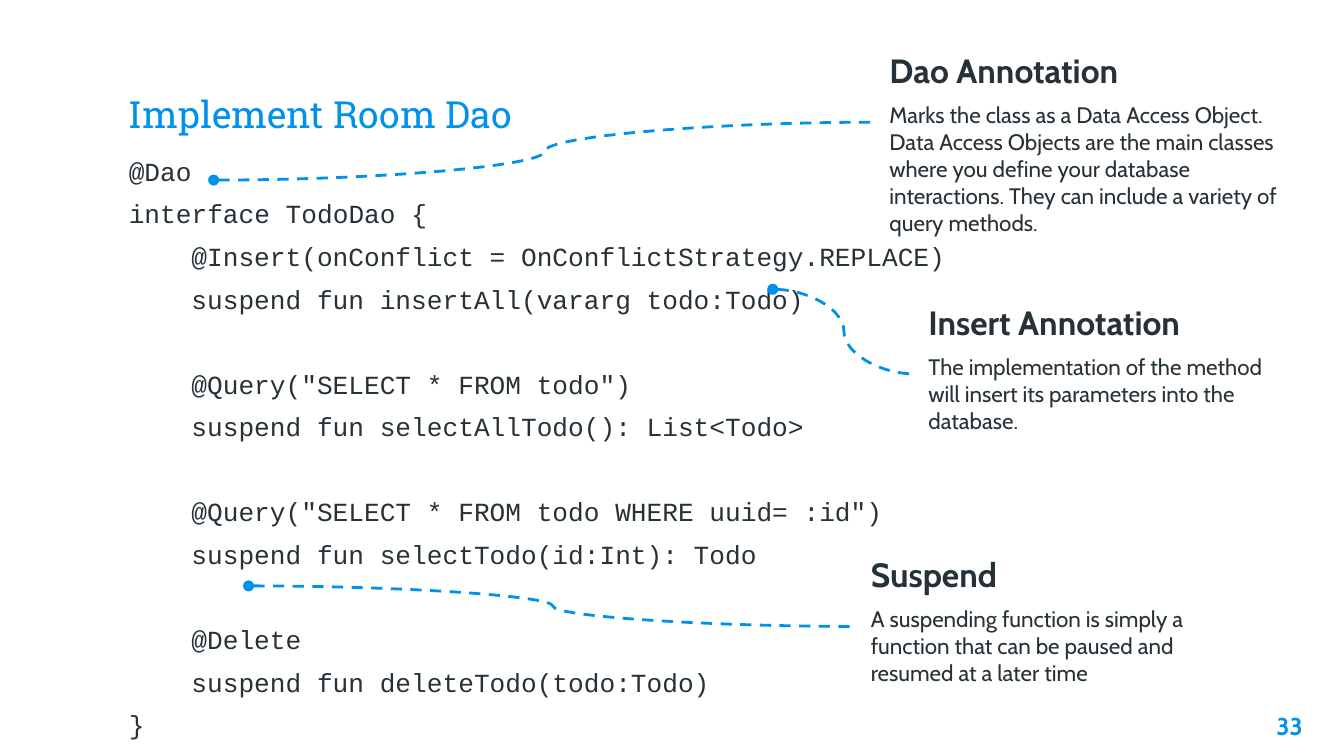
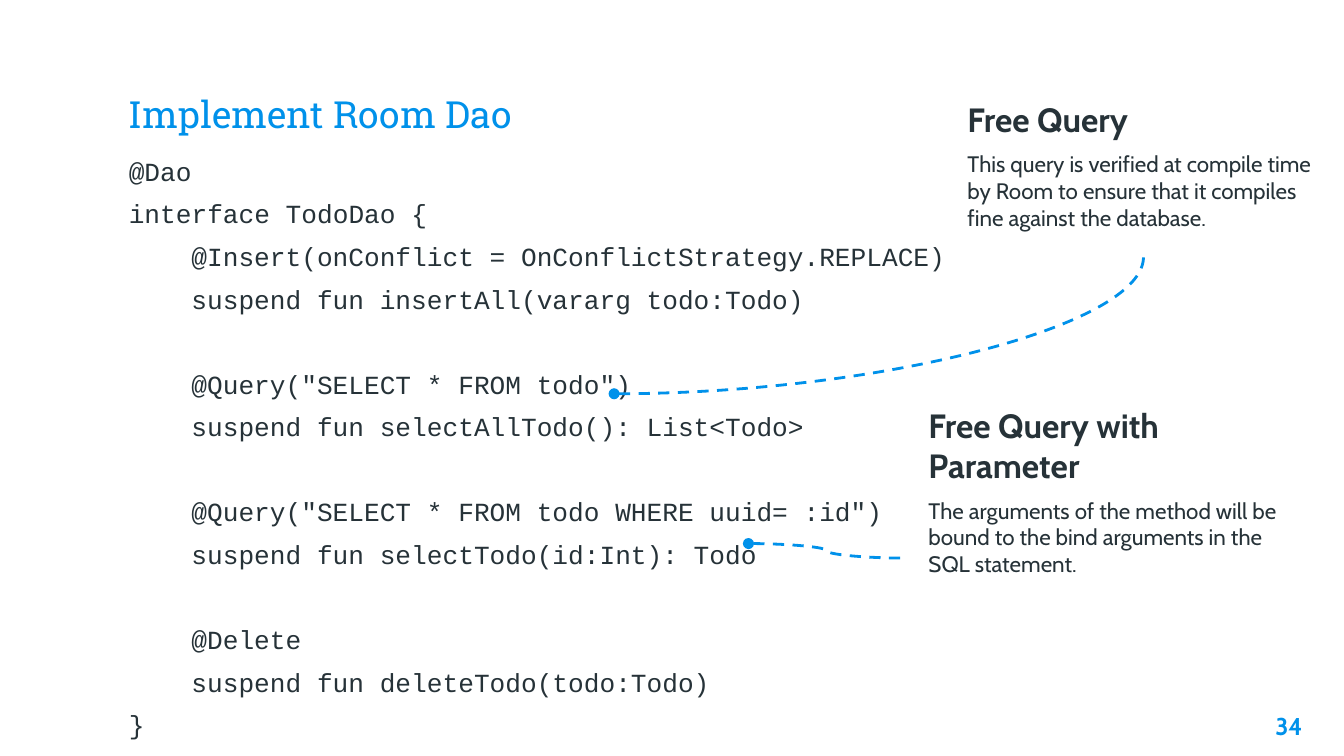
from lxml import etree
from pptx import Presentation
from pptx.dml.color import RGBColor
from pptx.enum import dml, shapes, text
from pptx.oxml.ns import qn
from pptx.util import Pt

BLUE, INK = "0091EA", "263238"
TITLE_FONT, CODE_FONT, NOTE_FONT = "Roboto Slab", "Courier New", "Cabin"
CODE_SIZE, CODE_LEADING, PARA_GAP = 14, 16.8, 6
INDENT = 4 * 0.6 * CODE_SIZE  # four monospaced characters

# Blocks of (indent level, code line); an empty line separates the blocks
DAO_CODE = [
    [(0, "@Dao"),
     (0, "interface TodoDao {"),
     (1, "@Insert(onConflict = OnConflictStrategy.REPLACE)"),
     (1, "suspend fun insertAll(vararg todo:Todo)")],
    [(1, '@Query("SELECT * FROM todo")'),
     (1, "suspend fun selectAllTodo(): List<Todo>")],
    [(1, '@Query("SELECT * FROM todo WHERE uuid= :id")'),
     (1, "suspend fun selectTodo(id:Int): Todo")],
    [(1, "@Delete"),
     (1, "suspend fun deleteTodo(todo:Todo)"),
     (0, "}")],
]


def color(hex_code):
    return RGBColor.from_string(hex_code)


class Deck:
    def __init__(self):
        self.prs = Presentation()
        self.prs.slide_width, self.prs.slide_height = Pt(720), Pt(405)
        self.slide = None

    def new_slide(self, heading, number):
        self.slide = self.prs.slides.add_slide(self.prs.slide_layouts[6])
        self.title(heading)
        self.code(DAO_CODE)
        self.page_number(number)

    def frame(self, left, top, width, height, anchor=text.MSO_ANCHOR.TOP):
        box = self.slide.shapes.add_textbox(Pt(left), Pt(top), Pt(width), Pt(height))
        frame = box.text_frame
        frame.word_wrap = True
        frame.vertical_anchor = anchor
        frame.margin_left = frame.margin_right = Pt(7.2)
        frame.margin_top = frame.margin_bottom = Pt(7.2)
        return frame

    def run(self, paragraph, words, font, size, hex_code, bold=False):
        run = paragraph.add_run()
        run.text = words
        run.font.name, run.font.size, run.font.bold = font, Pt(size), bold
        run.font.color.rgb = color(hex_code)

    def title(self, words):
        frame = self.frame(61.9, 24.5, 596.2, 55.4, text.MSO_ANCHOR.BOTTOM)
        self.run(frame.paragraphs[0], words, TITLE_FONT, 20, BLUE)

    def code(self, blocks):
        frame = self.frame(61.9, 75.9, 596.2, 281.5)
        line = frame.paragraphs[0]
        for block_index, block in enumerate(blocks):
            for line_index, (level, words) in enumerate(block):
                if block_index or line_index:
                    line = frame.add_paragraph()
                opens_block = block_index > 0 and line_index == 0
                empty_line = CODE_LEADING + PARA_GAP if opens_block else 0
                line.space_before = Pt(PARA_GAP + empty_line)
                line.line_spacing = Pt(CODE_LEADING)
                # Left indent
                line._p.get_or_add_pPr().set("marL", str(Pt(level * INDENT)))
                self.run(line, words, CODE_FONT, CODE_SIZE, INK)

    def page_number(self, number):
        frame = self.frame(661.7, 373.7, 43.2, 31)
        frame.paragraphs[0].alignment = text.PP_ALIGN.RIGHT
        self.run(frame.paragraphs[0], str(number), NOTE_FONT, 13, BLUE, bold=True)

    def note(self, left, top, heading, body, width=202.3):
        frame = self.frame(left, top, width, 92.2)
        head, detail = frame.paragraphs[0], frame.add_paragraph()
        head.space_before = detail.space_before = Pt(PARA_GAP)
        self.run(head, heading, NOTE_FONT, 18, INK, bold=True)
        self.run(detail, body, NOTE_FONT, 12, INK)

    def pointer(self, code_point, note_point, single_bend=False):
        link = self.slide.shapes.add_connector(
            shapes.MSO_CONNECTOR.CURVE, *map(Pt, code_point + note_point))
        link.line.color.rgb = color(BLUE)
        link.line.width = Pt(1.5)
        link.line.dash_style = dml.MSO_LINE.DASH
        # Dot at the code end, no shadow
        properties = link._element.spPr
        etree.SubElement(link.line._get_or_add_ln(), qn("a:headEnd"), type="oval")
        etree.SubElement(properties, qn("a:effectLst"))
        if single_bend:
            properties.find(qn("a:prstGeom")).set("prst", "curvedConnector2")


def main():
    deck = Deck()

    # Annotations and suspend
    deck.new_slide("Implement Room Dao", 33)
    deck.note(469.4, 19.4, "Dao Annotation",
              "Marks the class as a Data Access Object. Data Access Objects are the "
              "main classes where you define your database interactions. They can "
              "include a variety of query methods.", width=229)
    deck.note(490.3, 154.4, "Insert Annotation",
              "The implementation of the method will insert its parameters into the "
              "database.")
    deck.note(459.4, 289.6, "Suspend",
              "A suspending function is simply a function that can be paused and "
              "resumed at a later time")
    deck.pointer((114.5, 96.5), (469.4, 65.5))
    deck.pointer((414, 155), (490.3, 200.4))
    deck.pointer((133.2, 313.9), (459.4, 335.6))

    # Queries
    deck.new_slide("Implement Room Dao", 34)
    deck.note(511.2, 45.7, "Free Query",
              "This query is verified at compile time by Room to ensure that it "
              "compiles fine against the database.")
    deck.note(490.3, 209.7, "Free Query with Parameter",
              "The arguments of the method will be bound to the bind arguments in "
              "the SQL statement.")
    deck.pointer((329, 211), (612.6, 137.7), single_bend=True)
    deck.pointer((401, 291.2), (484.9, 299))

    deck.prs.save("out.pptx")


if __name__ == "__main__":
    main()
